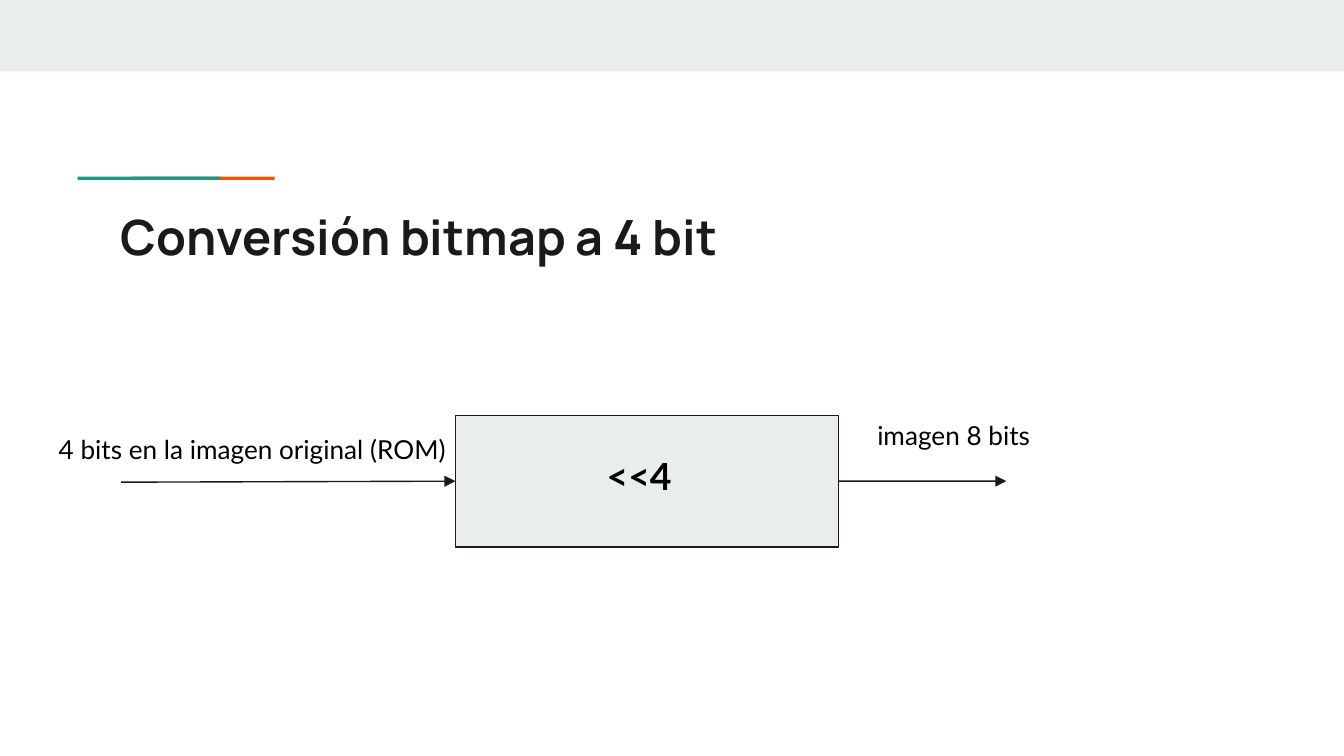
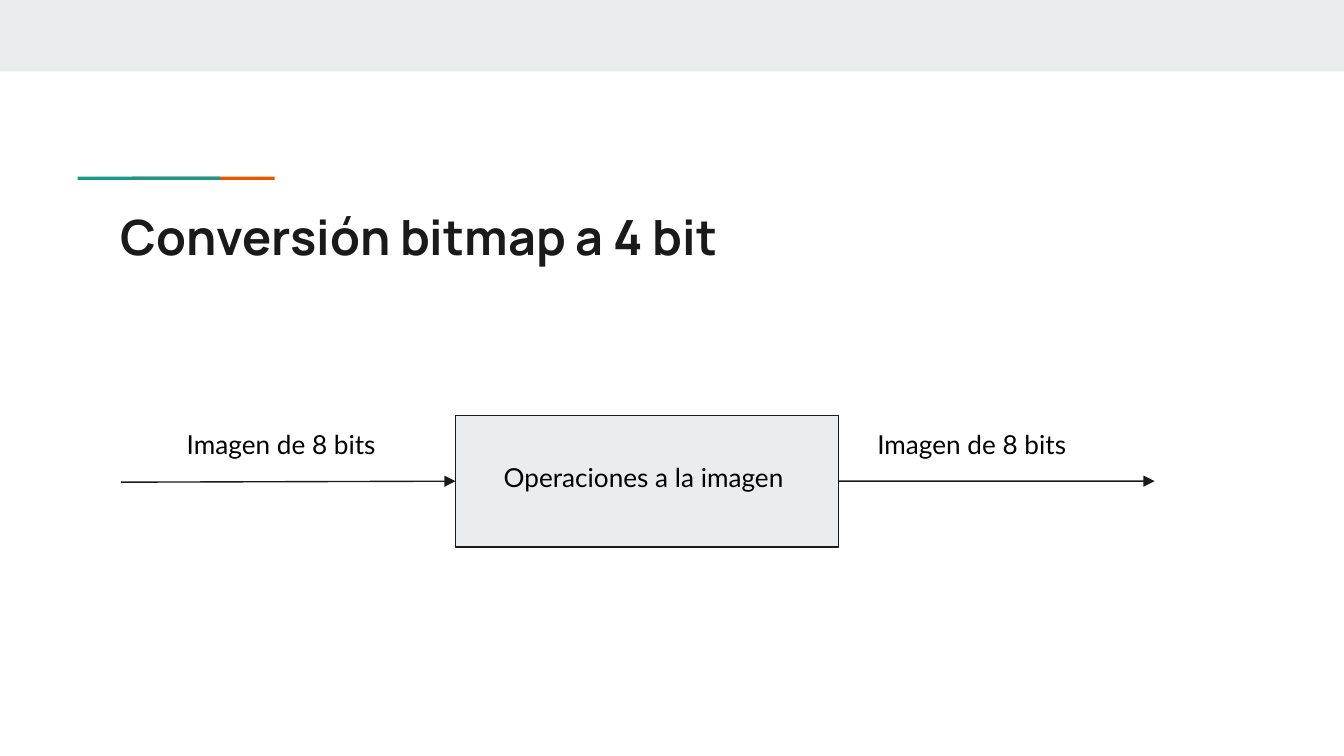
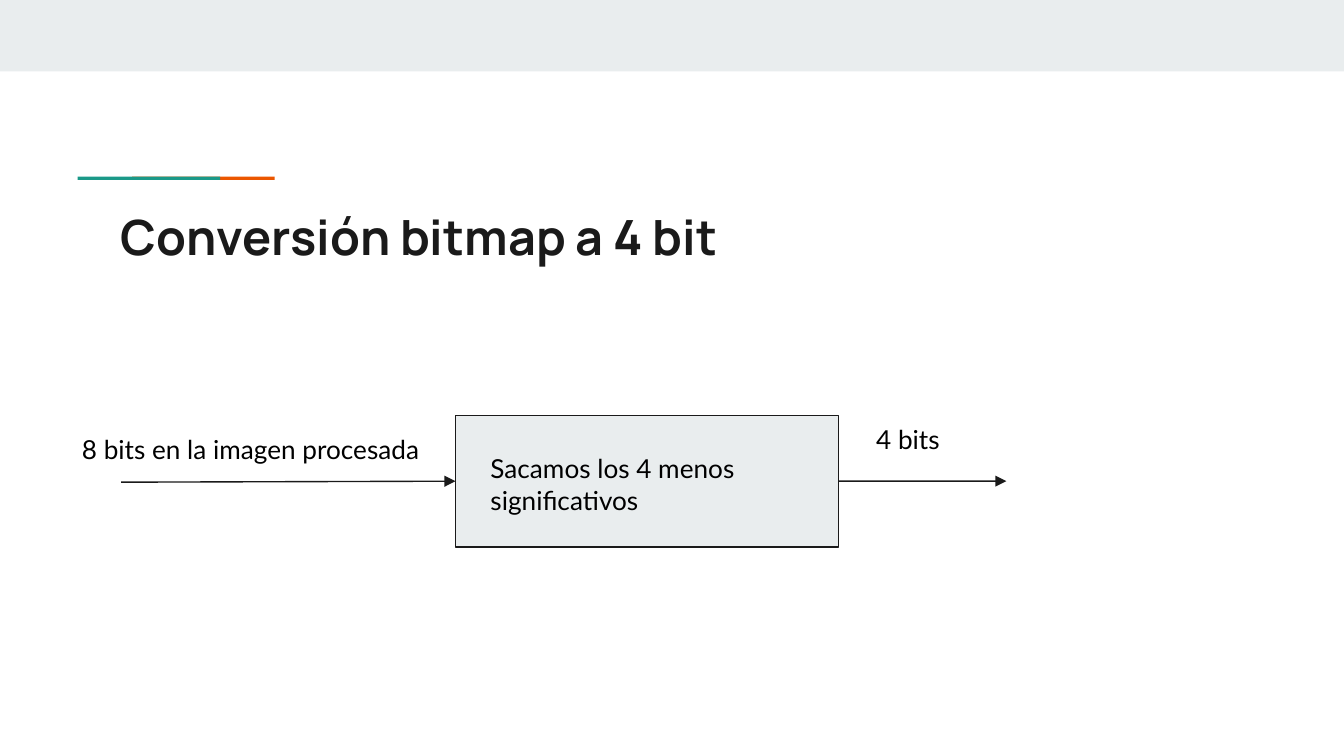
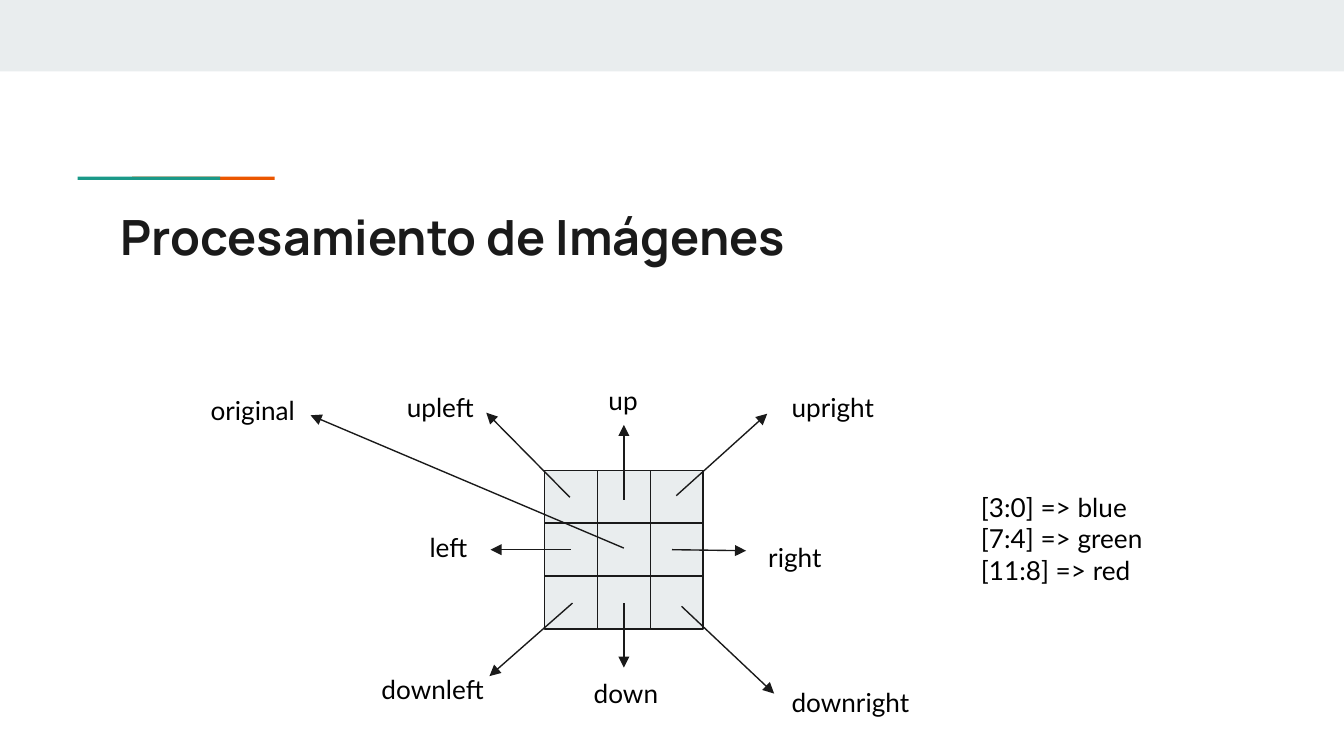
from lxml import etree
from pptx import Presentation
from pptx.dml.color import RGBColor
from pptx.enum.shapes import MSO_CONNECTOR, MSO_SHAPE
from pptx.enum.text import PP_ALIGN
from pptx.oxml.ns import qn
from pptx.util import Cm, Pt

RECT = MSO_SHAPE.RECTANGLE
STRAIGHT = MSO_CONNECTOR.STRAIGHT
CENTER = PP_ALIGN.CENTER

PALE = RGBColor(0xE9, 0xED, 0xEE)
INK = RGBColor(0x1A, 0x1A, 0x1A)
BLACK = RGBColor(0, 0, 0)
ORANGE = RGBColor(0xEB, 0x56, 0x00)
TEAL = RGBColor(0x1A, 0x99, 0x88)
TITLE_FONT, BODY_FONT = "Manrope", "Lato"
LINE_WIDTH = Pt(0.75)
LEFT_SIDE, RIGHT_SIDE = 1, 3

SLIDE_W, SLIDE_H = 25.4, 14.29
INSET = Cm(0.25)
PROCESS_BOX = (8.61, 7.85, 7.24, 2.49)
GRID_ORIGIN = (10.29, 8.89)
CELL = 1.0
LABEL_H = 0.89

# Text, then left, top, width, height relative to the process box
PROCESSES = [
    dict(source=("4 bits en la imagen original (ROM)", -7.75, 0.1, 8.08, 0.81),
         result=("imagen 8 bits", 7.72, -0.18, 4.83, 1.22),
         step=("<<4", 0.41, 0.46, 6.12, 1.22),
         step_style=dict(size=20, bold=True, align=CENTER), out_x=19.02),
    dict(source=("Imagen de 8 bits", -5.33, 0, 4.83, 1.22),
         result=("Imagen de 8 bits", 7.72, 0, 4.83, 1.22),
         step=("Operaciones a la imagen", 0.66, 0.63, 6.12, 1.22),
         step_style={}, out_x=21.82),
    dict(source=("8 bits en la imagen procesada", -7.31, 0.1, 7.62, 0.81),
         result=("4 bits", 7.7, -0.1, 4.83, 1.22),
         step=("Sacamos los 4 menos significativos", 0.41, 0.46, 6.12, 1.22),
         step_style={}, out_x=19.02),
]

# Name, arrow start, arrow end, label corner, label width; relative to the grid
NEIGHBOURS = [
    ("upright", (2.49, 0.48), (4.21, -1.07), (4.42, -1.75), 2.21),
    ("downright", (2.59, 2.57), (4.34, 4.22), (4.42, 3.84), 2.82),
    ("upleft", (0.48, 0.51), (-1.1, -1.09), (-2.85, -1.75), 2.21),
    ("downleft", (0.53, 2.51), (-1.04, 3.89), (-3.33, 3.58), 2.82),
    ("left", (0.5, 1.5), (-1.02, 1.5), (-2.42, 0.91), 1.5),
    ("right", (2.41, 1.5), (3.81, 1.52), (3.98, 1.09), 1.75),
    ("up", (1.5, 0.56), (1.5, -0.86), (0.96, -1.88), 1.32),
    ("down", (1.5, 2.51), (1.5, 3.73), (0.68, 3.66), 2.31),
    ("original", (1.5, 1.47), (-4.42, -1.04), (-6.56, -1.68), 2.51),
]


def add_rect(s, x, y, w, h, fill, outlined=False):
    sp = s.shapes.add_shape(RECT, Cm(x), Cm(y), Cm(w), Cm(h))
    sp.shadow.inherit = False
    sp.fill.solid()
    sp.fill.fore_color.rgb = fill
    if outlined:
        sp.line.color.rgb = INK
        sp.line.width = LINE_WIDTH
    else:
        sp.line.fill.background()
    return sp


def add_text(s, text, x, y, w, h, size=14, font=BODY_FONT, color=BLACK,
             bold=False, align=None):
    """Each line of the text becomes a paragraph."""
    tf = s.shapes.add_textbox(Cm(x), Cm(y), Cm(w), Cm(h)).text_frame
    tf.word_wrap = True
    tf.margin_left = tf.margin_right = tf.margin_top = tf.margin_bottom = INSET
    tf.text = text
    for p in tf.paragraphs:
        p.alignment = align
        p.font.name = font
        p.font.size = Pt(size)
        p.font.bold = bold
        p.font.color.rgb = color


def add_arrow(s, x1, y1, x2, y2):
    arrow = s.shapes.add_connector(STRAIGHT, Cm(x1), Cm(y1), Cm(x2), Cm(y2))
    arrow.line.color.rgb = INK
    arrow.line.width = LINE_WIDTH
    ln = arrow.line._get_or_add_ln()
    etree.SubElement(ln, qn("a:tailEnd"), type="triangle")
    etree.SubElement(arrow._element.spPr, qn("a:effectLst"))
    return arrow


def add_base_slide(prs, title):
    """Slide with the top band, the two-colour accent and the title."""
    s = prs.slides.add_slide(prs.slide_layouts[6])
    add_rect(s, 0, 0, SLIDE_W, 1.35, PALE)
    for x, color in ((2.5, ORANGE), (1.47, TEAL)):
        add_rect(s, x, 3.34, 2.69, 0.06, color)
    add_text(s, title, 2.03, 3.66, 21.36, 1.5, size=26, font=TITLE_FONT,
             color=INK, bold=True)
    return s


def add_process(s, box, source, result, step, step_style, out_x):
    """Box with an arrow in, an arrow out and a text for each part."""
    x, y, w, h = box
    mid = y + h / 2
    sp = add_rect(s, *box, PALE, outlined=True)
    add_arrow(s, 2.29, mid + 0.02, x, mid).end_connect(sp, LEFT_SIDE)
    add_arrow(s, x + w, mid, out_x, mid).begin_connect(sp, RIGHT_SIDE)
    for (text, dx, dy, tw, th), style in ((source, {}), (result, {}),
                                          (step, step_style)):
        add_text(s, text, x + dx, y + dy, tw, th, **style)


def add_pixel_grid(s, x, y):
    """3 by 3 cells with an arrow from each one to its name."""
    for row in range(3):
        for col in range(3):
            add_rect(s, x + col * CELL, y + row * CELL, CELL, CELL, PALE,
                     outlined=True)
    for name, (x1, y1), (x2, y2), (tx, ty), w in NEIGHBOURS:
        add_arrow(s, x + x1, y + y1, x + x2, y + y2)
        add_text(s, name, x + tx, y + ty, w, LABEL_H)


def main():
    prs = Presentation()
    prs.slide_width, prs.slide_height = Cm(SLIDE_W), Cm(SLIDE_H)
    for process in PROCESSES:
        s = add_base_slide(prs, "Conversión bitmap a 4 bit")
        add_process(s, PROCESS_BOX, **process)
    s = add_base_slide(prs, "Procesamiento de Imágenes")
    add_text(s, "[3:0] => blue\n[7:4] => green\n[11:8] => red",
             18.29, 9.04, 6.88, 1.96)
    add_pixel_grid(s, *GRID_ORIGIN)
    prs.save("out.pptx")


if __name__ == "__main__":
    main()
